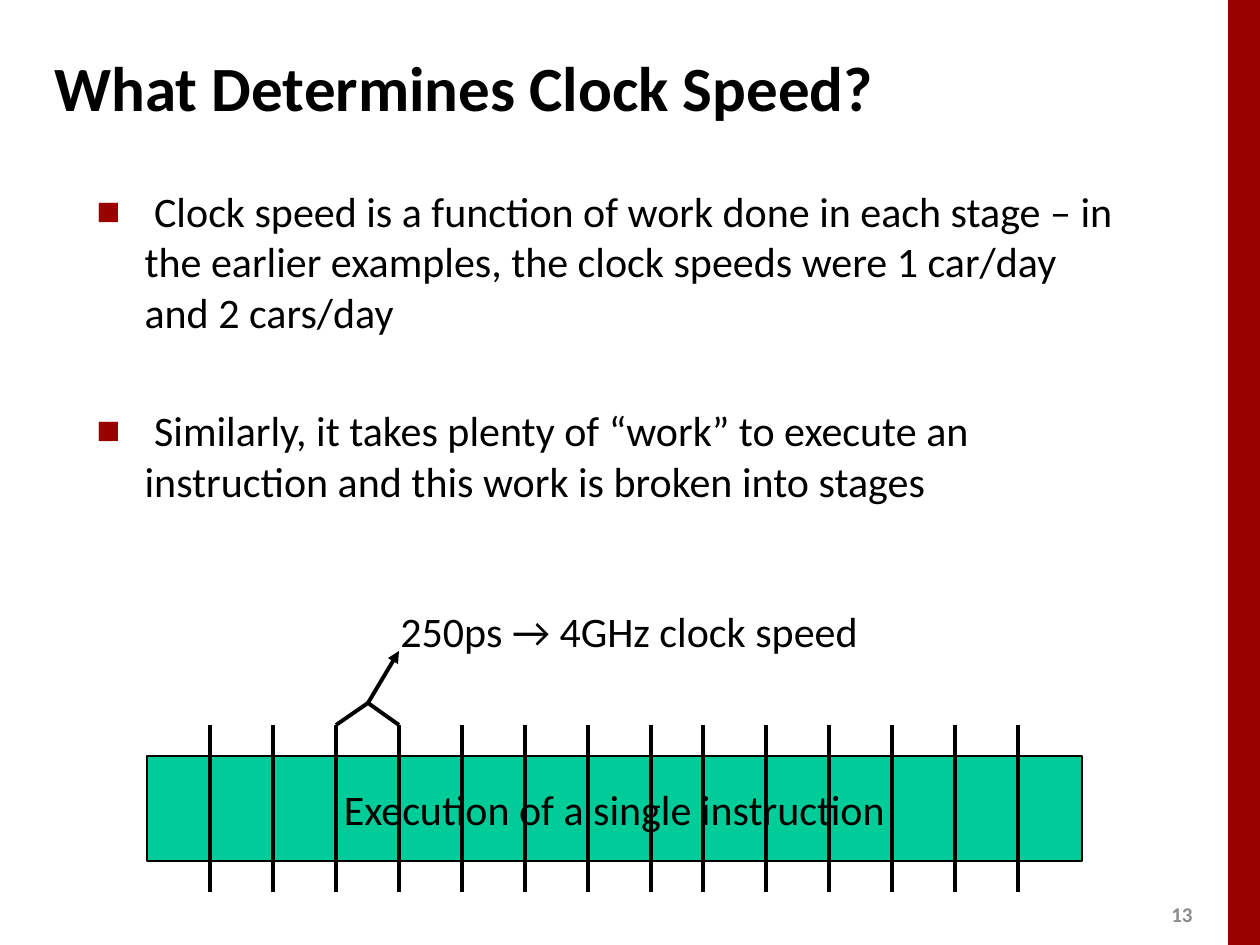
"""Build the slide on what determines clock speed."""
from dataclasses import dataclass
from typing import Any

from lxml import etree
from pptx import Presentation
from pptx.dml.color import RGBColor
from pptx.enum.shapes import MSO_CONNECTOR, MSO_SHAPE
from pptx.enum.text import MSO_ANCHOR, MSO_AUTO_SIZE, PP_ALIGN
from pptx.oxml.ns import qn
from pptx.util import Emu, Pt

STRAIGHT = MSO_CONNECTOR.STRAIGHT
RECTANGLE = MSO_SHAPE.RECTANGLE
TOP, MIDDLE = MSO_ANCHOR.TOP, MSO_ANCHOR.MIDDLE
LEFT, CENTER = PP_ALIGN.LEFT, PP_ALIGN.CENTER
NO_AUTOFIT = MSO_AUTO_SIZE.NONE

PX_PER_INCH = 126
EMU_PER_PX = 914400 / PX_PER_INCH
COLORS = {"ink": "000000", "accent": "990000", "stage": "00CC99", "number": "8C8C8C"}
FONT = "Calibri"

BULLET_INDENT = 48
TITLE_INDENT = 16
BULLETS = [
    " Clock speed is a function of work done in each stage – in the earlier "
    "examples, the clock speeds were 1 car/day and 2 cars/day",
    " Similarly, it takes plenty of “work” to execute an instruction and this "
    "work is broken into stages",
]

STAGE_WIDTH = 63
TICK_TOP, TICK_BOTTOM = 725, 892
TICKS = [210 + STAGE_WIDTH * i for i in range(8)] + [703 + STAGE_WIDTH * i for i in range(6)]
STAGE_START, STAGE_END = TICKS[2:4]
BRACKET_PEAK = (368, 703)


@dataclass(frozen=True)
class Box:
    left: int
    top: int
    width: int
    height: int


@dataclass(frozen=True)
class Segment:
    start: tuple[int, int]
    end: tuple[int, int]
    arrow: bool = False


def px(length: int) -> Emu:
    return Emu(round(length * EMU_PER_PX))


def color(name: str) -> RGBColor:
    return RGBColor.from_string(COLORS[name])


def place(shape: Any, box: Box) -> None:
    for side in ("left", "top", "width", "height"):
        setattr(shape, side, px(getattr(box, side)))


def set_frame(frame: Any, anchor: Any, wrap: bool) -> None:
    settings = {"auto_size": NO_AUTOFIT, "vertical_anchor": anchor, "word_wrap": wrap}
    for name, value in settings.items():
        setattr(frame, name, value)


def write(paragraph: Any, text: str, size: int = 24, bold: bool = False,
          ink: str = "ink", align: Any = LEFT) -> None:
    paragraph.alignment = align
    run = paragraph.add_run()
    run.text = text
    for name, value in {"name": FONT, "size": Pt(size), "bold": bold}.items():
        setattr(run.font, name, value)
    run.font.color.rgb = color(ink)


def hang(paragraph: Any, indent: int) -> Any:
    properties = paragraph._p.get_or_add_pPr()
    properties.set("marL", str(px(indent)))
    properties.set("indent", str(-px(indent)))
    return properties


def add_bullet(paragraph: Any) -> None:
    properties = hang(paragraph, BULLET_INDENT)
    tint = etree.SubElement(properties, qn("a:buClr"))
    etree.SubElement(tint, qn("a:srgbClr"), val=COLORS["accent"])
    etree.SubElement(properties, qn("a:buSzPct"), val="60000")
    etree.SubElement(properties, qn("a:buFont"), typeface=FONT)
    etree.SubElement(properties, qn("a:buChar"), char="■")


def add_rectangle(slide: Any, box: Box, fill: str) -> Any:
    rectangle = slide.shapes.add_shape(RECTANGLE, 0, 0, 0, 0)
    place(rectangle, box)
    rectangle.shadow.inherit = False
    rectangle.fill.solid()
    rectangle.fill.fore_color.rgb = color(fill)
    rectangle.line.fill.background()
    return rectangle


def add_label(slide: Any, box: Box, text: str, anchor: Any = TOP, **style: Any) -> None:
    label = slide.shapes.add_textbox(0, 0, 0, 0)
    place(label, box)
    set_frame(label.text_frame, anchor, False)
    write(label.text_frame.paragraphs[0], text, **style)


def add_segment(slide: Any, segment: Segment) -> None:
    ends = [px(value) for value in segment.start + segment.end]
    connector = slide.shapes.add_connector(STRAIGHT, *ends)
    connector.line.width = Pt(2.25)
    connector.line.color.rgb = color("ink")
    if segment.arrow:
        etree.SubElement(connector.line._get_or_add_ln(), qn("a:tailEnd"), type="triangle")
    etree.SubElement(connector._element.spPr, qn("a:effectLst"))


def fill_placeholders(slide: Any) -> None:
    title, body = slide.shapes.title, slide.placeholders[1]
    place(title, Box(42, 42, 853, 89))
    set_frame(title.text_frame, MIDDLE, True)
    heading = title.text_frame.paragraphs[0]
    hang(heading, TITLE_INDENT)
    write(heading, "What Determines Clock Speed?", size=36, bold=True)

    place(body, Box(84, 179, 1051, 369))
    set_frame(body.text_frame, TOP, True)
    for index, text in enumerate(BULLETS):
        point = body.text_frame.add_paragraph() if index else body.text_frame.paragraphs[0]
        add_bullet(point)
        point.space_before = Pt(39 if index else 0)
        write(point, text)


def draw_pipeline(slide: Any) -> None:
    instruction = add_rectangle(slide, Box(147, 756, 935, 105), "stage")
    instruction.line.color.rgb = color("ink")
    instruction.line.width = Pt(0.75)
    set_frame(instruction.text_frame, MIDDLE, False)
    write(instruction.text_frame.paragraphs[0], "Execution of a single instruction", align=CENTER)

    segments = [Segment((x, TICK_TOP), (x, TICK_BOTTOM)) for x in TICKS]
    segments += [
        Segment((STAGE_START, TICK_TOP), BRACKET_PEAK),
        Segment(BRACKET_PEAK, (STAGE_END, TICK_TOP)),
        Segment(BRACKET_PEAK, (STAGE_END, 651), arrow=True),
    ]
    for segment in segments:
        add_segment(slide, segment)
    add_label(slide, Box(388, 599, 495, 63), "250ps → 4GHz clock speed")


def main() -> None:
    deck = Presentation()
    deck.slide_width, deck.slide_height = px(1260), px(945)
    slide = deck.slides.add_slide(deck.slide_layouts[1])
    add_rectangle(slide, Box(1228, 0, 32, 945), "accent")
    add_label(slide, Box(1159, 895, 50, 38), "13", MIDDLE, size=12, bold=True, ink="number")
    fill_placeholders(slide)
    draw_pipeline(slide)
    deck.save("out.pptx")


if __name__ == "__main__":
    main()
